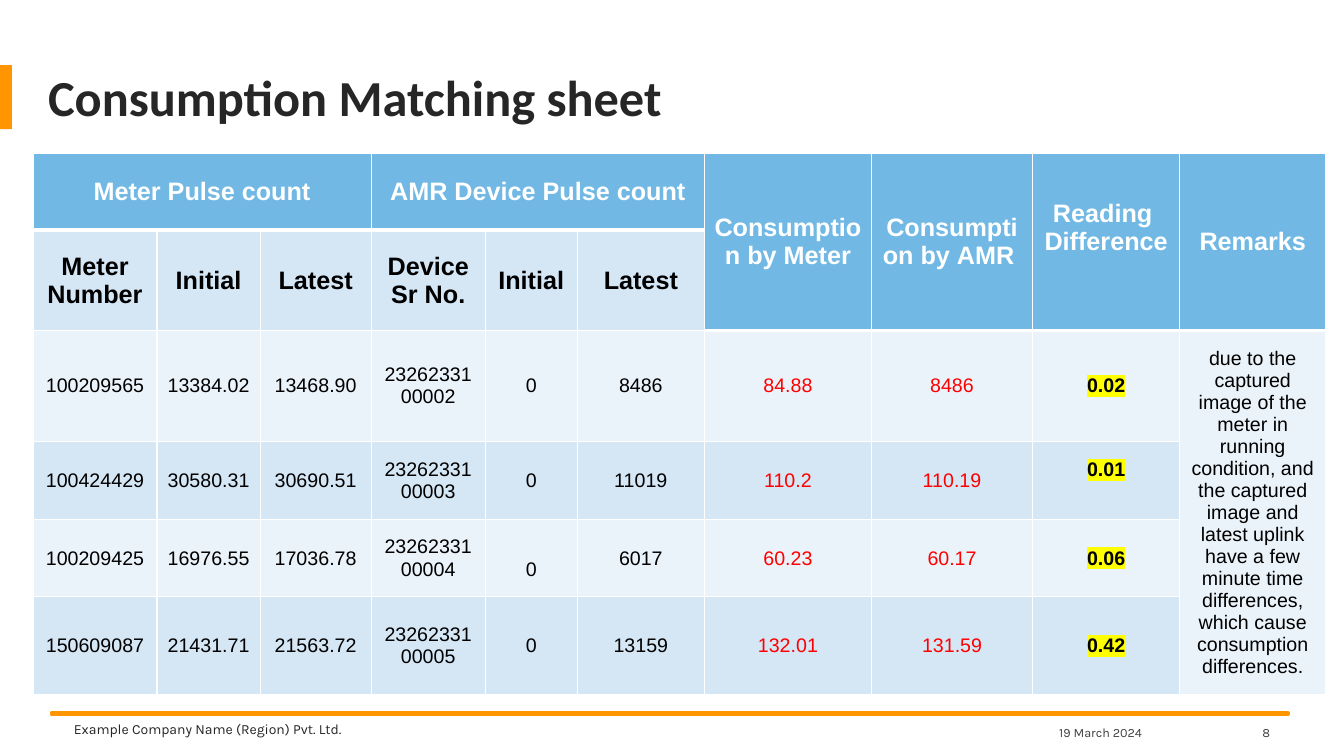
from lxml import etree
from pptx import Presentation
from pptx.dml.color import RGBColor
from pptx.enum.shapes import MSO_SHAPE
from pptx.enum.text import MSO_ANCHOR, MSO_AUTO_SIZE, PP_ALIGN
from pptx.oxml.ns import qn
from pptx.util import Pt

RECTANGLE = MSO_SHAPE.RECTANGLE
MIDDLE, BOTTOM = MSO_ANCHOR.MIDDLE, MSO_ANCHOR.BOTTOM
LEFT, CENTER, RIGHT = PP_ALIGN.LEFT, PP_ALIGN.CENTER, PP_ALIGN.RIGHT
NO_FIT = MSO_AUTO_SIZE.NONE

EMU_PER_PX = 9080
SLIDE_SIZE = (1343, 755)
NBSP = chr(160)

ORANGE = RGBColor(0xFF, 0x95, 0x00)
INK = RGBColor(0x26, 0x26, 0x26)
GREY = RGBColor(0x40, 0x40, 0x40)
WHITE = RGBColor(0xFF, 0xFF, 0xFF)
BLACK = RGBColor(0x00, 0x00, 0x00)
RED = RGBColor(0xFF, 0x00, 0x00)
YELLOW = RGBColor(0xFF, 0xFF, 0x00)
HEADER_BLUE = RGBColor(0x71, 0xB9, 0xE4)
BAND_BLUE = RGBColor(0xD5, 0xE6, 0xF5)
PALE_BLUE = RGBColor(0xEB, 0xF3, 0xFA)

COLUMN_WIDTHS = [124, 103, 111, 114, 92, 127, 167, 161, 147, 146]
ROW_HEIGHTS = [77, 100, 111, 78, 77, 98]
REMARKS_COLUMN = 9
DIFFERENCE_COLUMN = 8
RESULT_COLUMNS = (6, 7)

GROUP_HEADERS = [
    (0, 1, 3, "Meter Pulse count"),
    (3, 1, 3, "AMR Device Pulse count"),
    (6, 2, 1, "Consumption by Meter"),
    (7, 2, 1, f"Consumption{NBSP}by{NBSP}AMR{NBSP}"),
    (8, 2, 1, f"Reading{NBSP} Difference{NBSP}"),
    (9, 2, 1, "Remarks"),
]
SUB_HEADERS = ["Meter Number", "Initial", "Latest", "Device Sr No.", "Initial", "Latest"]
READINGS = [
    ["100209565", "13384.02", "13468.90", "2326233100002", "0", "8486", "84.88", "8486", "0.02"],
    ["100424429", "30580.31", "30690.51", "2326233100003", "0", "11019", "110.2", "110.19", "0.01"],
    ["100209425", "16976.55", "17036.78", "2326233100004", "0", "6017", "60.23", "60.17", "0.06"],
    ["150609087", "21431.71", "21563.72", "2326233100005", "0", "13159", "132.01", "131.59", "0.42"],
]
REMARK = (
    "due to the captured image of the meter in running condition, and the captured image "
    "and latest uplink have a few minute time differences, which cause consumption differences."
)
MARGIN_SHIFTS = {(3, 8): {"margin_bottom": 27}, (4, 4): {"margin_top": 27}}


def px(length):
    return length * EMU_PER_PX


def apply_format(target, formats):
    for name, value in formats.items():
        setattr(target, name, value)


def write(frame, text, color, size, font_name, bold=False, align=LEFT):
    paragraph = frame.paragraphs[0]
    paragraph.alignment = align
    run = paragraph.add_run()
    run.text = text
    run.font.color.rgb = color
    apply_format(run.font, {"size": Pt(size), "name": font_name, "bold": bold})
    return run


def add_bar(slide, box, outline=None):
    bar = slide.shapes.add_shape(RECTANGLE, *map(px, box))
    bar.shadow.inherit = False
    bar.fill.solid()
    bar.fill.fore_color.rgb = ORANGE
    if outline:
        bar.line.color.rgb = ORANGE
        bar.line.width = Pt(outline)
    else:
        bar.line.fill.background()


def add_heading(slide, box):
    left, top, width, height = box
    add_bar(slide, (left, top, 12, height))
    title = slide.shapes.title
    apply_format(title, {"left": px(left + 38), "top": px(top + 3),
                         "width": px(width), "height": px(height)})
    apply_format(title.text_frame, {"vertical_anchor": BOTTOM, "auto_size": NO_FIT,
                                    "word_wrap": True})
    write(title.text_frame, "Consumption Matching sheet", INK, 36, "Calibri", True)


def add_footer(slide, box):
    left, top, width, height = box
    add_bar(slide, (left, top, width, 2), 2)
    labels = [
        (13, -4, 761, "Example Company Name (Region) Pvt. Ltd.", 10, INK, LEFT),
        (787, -1, 313, "19 March 2024", 9, GREY, RIGHT),
        (1112, -1, 116, "8", 9, GREY, RIGHT),
    ]
    for offset, rise, label_width, text, size, color, align in labels:
        label = slide.shapes.add_textbox(
            px(left + offset), px(top + rise), px(label_width), px(height))
        apply_format(label.text_frame, {"vertical_anchor": MIDDLE, "word_wrap": True})
        write(label.text_frame, text, color, size, "Karla", align=align)


def add_border(cell, side, width):
    border = etree.SubElement(cell._tc.get_or_add_tcPr(), qn(f"a:{side}"), w=str(Pt(width)))
    fill = etree.SubElement(border, qn("a:solidFill"))
    etree.SubElement(fill, qn("a:srgbClr"), val=str(WHITE))


def highlight(run):
    mark = etree.Element(qn("a:highlight"))
    etree.SubElement(mark, qn("a:srgbClr"), val=str(YELLOW))
    run.font._element.find(qn("a:solidFill")).addnext(mark)


def style_cell(cell, row, column):
    is_header = row == 0 or (row == 1 and column >= RESULT_COLUMNS[0])
    add_border(cell, "lnR", 1)
    add_border(cell, "lnB", 3 if is_header else 1)
    cell.fill.solid()
    band = BAND_BLUE if row % 2 else PALE_BLUE
    cell.fill.fore_color.rgb = HEADER_BLUE if is_header else band
    cell.vertical_anchor = MIDDLE
    shifts = MARGIN_SHIFTS.get((row, column), {})
    apply_format(cell, {side: px(margin) for side, margin in shifts.items()})


def add_matching_table(slide, left, top):
    table = slide.shapes.add_table(
        len(ROW_HEIGHTS), len(COLUMN_WIDTHS), px(left), px(top),
        px(sum(COLUMN_WIDTHS)), px(sum(ROW_HEIGHTS))).table
    apply_format(table, {"first_row": False, "horz_banding": False})
    for column, width in zip(table.columns, COLUMN_WIDTHS):
        column.width = px(width)
    for row, height in zip(table.rows, ROW_HEIGHTS):
        row.height = px(height)
    for row in range(len(ROW_HEIGHTS)):
        for column in range(len(COLUMN_WIDTHS)):
            style_cell(table.cell(row, column), row, column)

    def write_cell(row, column, text, color=BLACK, size=14, bold=False):
        return write(table.cell(row, column).text_frame, text, color, size, "Arial", bold, CENTER)

    for column, row_span, column_span, text in GROUP_HEADERS:
        table.cell(0, column).merge(table.cell(row_span - 1, column + column_span - 1))
        write_cell(0, column, text, WHITE, 18, True)
    for column, text in enumerate(SUB_HEADERS):
        write_cell(1, column, text, BLACK, 18, True)
    for row, readings in enumerate(READINGS, 2):
        for column, text in enumerate(readings):
            is_difference = column == DIFFERENCE_COLUMN
            color = RED if column in RESULT_COLUMNS else BLACK
            run = write_cell(row, column, text, color, bold=is_difference)
            if is_difference:
                highlight(run)
    table.cell(2, REMARKS_COLUMN).merge(table.cell(len(ROW_HEIGHTS) - 1, REMARKS_COLUMN))
    write_cell(2, REMARKS_COLUMN, REMARK)


def main():
    deck = Presentation()
    deck.slide_width, deck.slide_height = map(px, SLIDE_SIZE)
    slide = deck.slides.add_slide(deck.slide_layouts[5])
    add_heading(slide, (0, 65, 980, 64))
    add_matching_table(slide, 33, 153)
    add_footer(slide, (51, 712, 1237, 40))
    deck.save("out.pptx")


if __name__ == "__main__":
    main()
